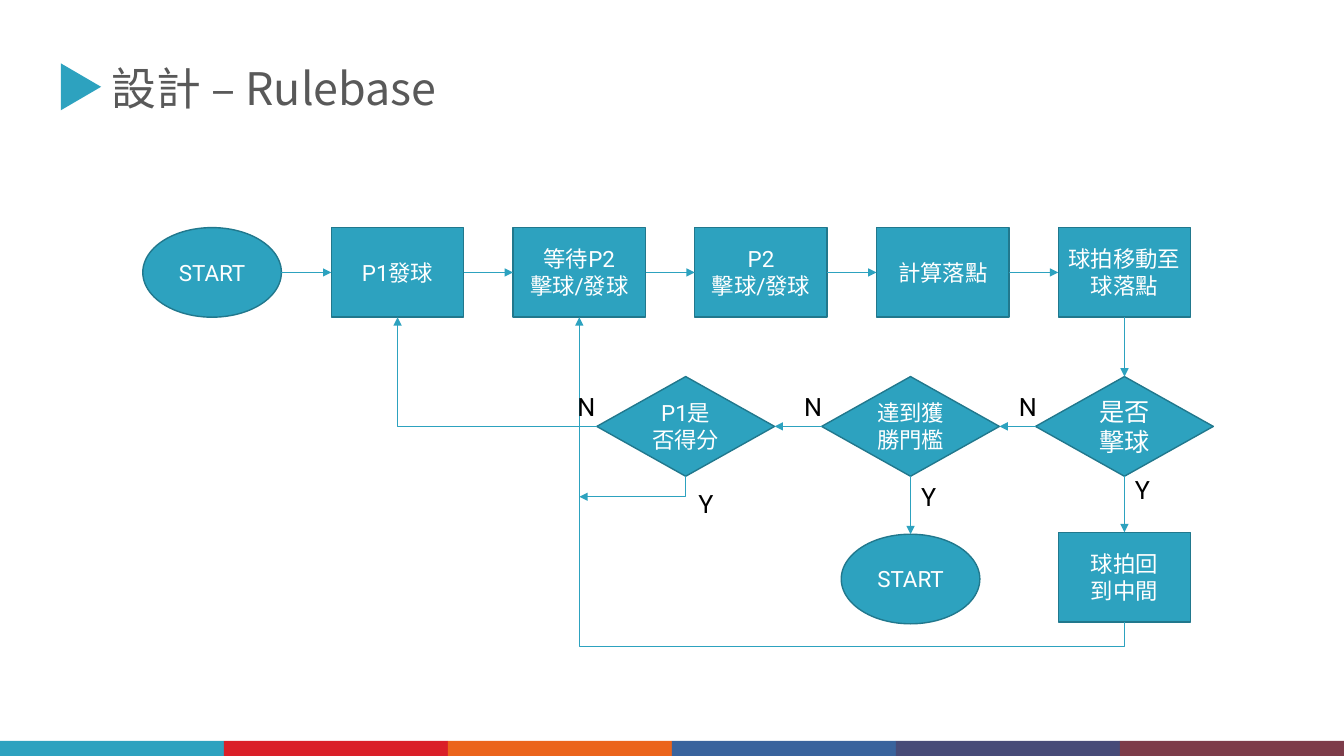
from lxml import etree
from pptx import Presentation
from pptx import util as u
from pptx.dml import color
from pptx.enum import shapes, text
from pptx.oxml import ns

TOP, LEFT, BOTTOM, RIGHT = range(4)
KINDS = shapes.MSO_SHAPE
SIZES = {KINDS.OVAL: (99, 64), KINDS.RECTANGLE: (94.6, 64),
         KINDS.FLOWCHART_DECISION: (127, 71.2)}


def rgb(code):
    return color.RGBColor.from_string(code)


class FlowPage:
    """Draws flowchart elements in one style on the current page."""

    teal, edge, white, black, grey = "2DA2BF", "21788D", "FFFFFF", "000000", "595959"
    latin, asian = "Roboto", "Noto Sans CJK SC"

    def __init__(self, page):
        self.page = page

    def set_words(self, frame, words, size, ink, face=None, align=None):
        frame.text = words
        for para in frame.paragraphs:
            para.alignment = align
            for span in para.runs:
                span.font.size = u.Pt(size)
                span.font.color.rgb = rgb(ink)
                span.font.name = face or self.latin
                east = etree.SubElement(span.font._element, ns.qn("a:ea"))
                east.set("typeface", self.asian)

    def solid(self, kind, left, top, width, height, fill):
        shape = self.page.shapes.add_shape(
            kind, u.Pt(left), u.Pt(top), u.Pt(width), u.Pt(height))
        shape.shadow.inherit = False
        shape.fill.solid()
        shape.fill.fore_color.rgb = rgb(fill)
        shape.line.fill.background()
        return shape

    def node(self, kind, x, y, words, size=16):
        width, height = SIZES[kind]
        shape = self.solid(kind, x - width / 2, y - height / 2, width, height, self.teal)
        shape.line.color.rgb = rgb(self.edge)
        shape.line.width = u.Pt(1)
        shape.text_frame.word_wrap = True
        shape.text_frame.vertical_anchor = text.MSO_ANCHOR.MIDDLE
        self.set_words(shape.text_frame, words, size, self.white, align=text.PP_ALIGN.CENTER)
        return shape

    def label(self, words, left, top, width=26.6, height=28.8, size=18,
              ink=black, face=None, wrap=False):
        box = self.page.shapes.add_textbox(
            u.Pt(left), u.Pt(top), u.Pt(width), u.Pt(height))
        box.text_frame.word_wrap = wrap
        box.text_frame.auto_size = text.MSO_AUTO_SIZE.SHAPE_TO_FIT_TEXT
        self.set_words(box.text_frame, words, size, ink, face)

    def arrow(self, kind, left=0, top=0, right=0, bottom=0):
        line = self.page.shapes.add_connector(
            kind, u.Pt(left), u.Pt(top), u.Pt(right), u.Pt(bottom))
        line.line.color.rgb = rgb(self.teal)
        line.line.width = u.Pt(0.5)
        etree.SubElement(line.line._get_or_add_ln(), ns.qn("a:tailEnd"), type="triangle")
        etree.SubElement(line._element.spPr, ns.qn("a:effectLst"))
        return line

    def join(self, start, start_side, end, end_side):
        line = self.arrow(shapes.MSO_CONNECTOR.STRAIGHT)
        line.begin_connect(start, start_side)
        line.end_connect(end, end_side)
        ends = line._element.nvCxnSpPr.cNvCxnSpPr
        for shape, side, link in ((start, start_side, ends.stCxn), (end, end_side, ends.endCxn)):
            if shape.auto_shape_type == KINDS.OVAL:
                link.set("idx", str(side * 2))

    def elbow(self, x, y, width, height, turn, bend=None, flip=False):
        line = self.arrow(shapes.MSO_CONNECTOR.ELBOW, x - width / 2, y - height / 2,
                          x + width / 2, y + height / 2)
        line._element.spPr.xfrm.set("rot", str(turn * 60000))
        if flip:
            line._element.spPr.xfrm.set("flipH", "1")
        outline = line._element.spPr.find(ns.qn("a:prstGeom"))
        if bend is None:
            outline.set("prst", "bentConnector2")
        else:
            etree.SubElement(outline.find(ns.qn("a:avLst")), ns.qn("a:gd"),
                             name="adj1", fmla=f"val {round(bend * 100000)}")


def main():
    deck = Presentation()
    deck.slide_width, deck.slide_height = u.Pt(960), u.Pt(540)
    flow = FlowPage(deck.slides.add_slide(deck.slide_layouts[6]))

    flow.label("設計 – Rulebase", 72.7, 39.6, 432, 46, 32, flow.grey, flow.asian, True)
    flow.solid(KINDS.ISOSCELES_TRIANGLE, 41, 47.6, 33.6, 28.8, flow.teal).rotation = 90
    stripes = (flow.teal, "DA1F28", "EB641B", "39639D", "474B78", "7D3C4A")
    for column, fill in enumerate(stripes):
        flow.solid(KINDS.RECTANGLE, column * 160, 529.2, 160, 10.8, fill)

    row_y, check_y, end_y = 194.6, 304.6, 412.2
    columns = [284 + 129.8 * step for step in range(5)]
    score_x, win_x, hit_x = 489.8, 650.4, columns[-1]
    steps = ("P1發球", "等待P2\n擊球/發球", "P2\n擊球/發球", "計算落點", "球拍移動至球落點")
    chain = [flow.node(KINDS.OVAL, 151.5, row_y, "START")]
    for x, words in zip(columns, steps):
        chain.append(flow.node(KINDS.RECTANGLE, x, row_y, words))
        flow.join(chain[-2], RIGHT, chain[-1], LEFT)

    hit = flow.node(KINDS.FLOWCHART_DECISION, hit_x, check_y, "是否擊球", 18)
    win = flow.node(KINDS.FLOWCHART_DECISION, win_x, check_y, "達到獲勝門檻")
    score = flow.node(KINDS.FLOWCHART_DECISION, score_x, check_y, "P1是否得分")
    reset = flow.node(KINDS.RECTANGLE, hit_x, end_y, "球拍回\n到中間")
    again = flow.node(KINDS.OVAL, win_x, end_y + 1.4, "START")
    flow.join(chain[-1], BOTTOM, hit, TOP)
    flow.join(hit, LEFT, win, RIGHT)
    flow.join(win, LEFT, score, RIGHT)
    flow.join(hit, BOTTOM, reset, TOP)
    flow.join(win, BOTTOM, again, TOP)

    wait_x, row_base, score_base = columns[1], row_y + 32, check_y + 35.6
    reset_base, score_left = end_y + 32, score_x - 63.5
    flow.elbow((hit_x + wait_x) / 2, (reset_base + row_base) / 2,
               reset_base - row_base, hit_x - wait_x, 90, -0.08, True)
    flow.elbow((score_x + wait_x) / 2, score_base + 7.3, 14.6, score_x - wait_x, 90)
    flow.elbow((score_left + columns[0]) / 2, (check_y + row_base) / 2,
               score_left - columns[0], check_y - row_base, 180)

    for left in (720.7, 567.4, 405.4):
        flow.label("N", left, 275.8)
    for left, top in ((803.5, 335.5), (650.9, 340.6), (491.8, 345.6)):
        flow.label("Y", left, top)
    deck.save("out.pptx")


if __name__ == "__main__":
    main()
